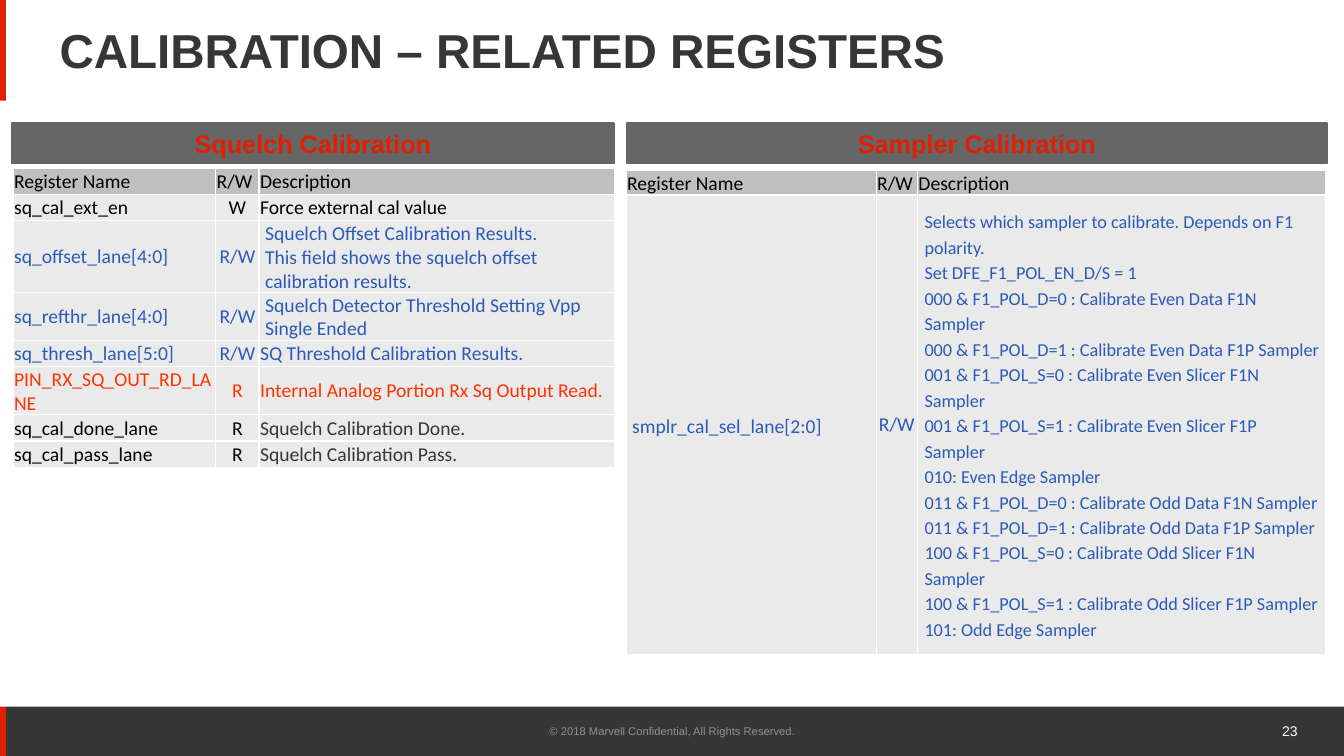
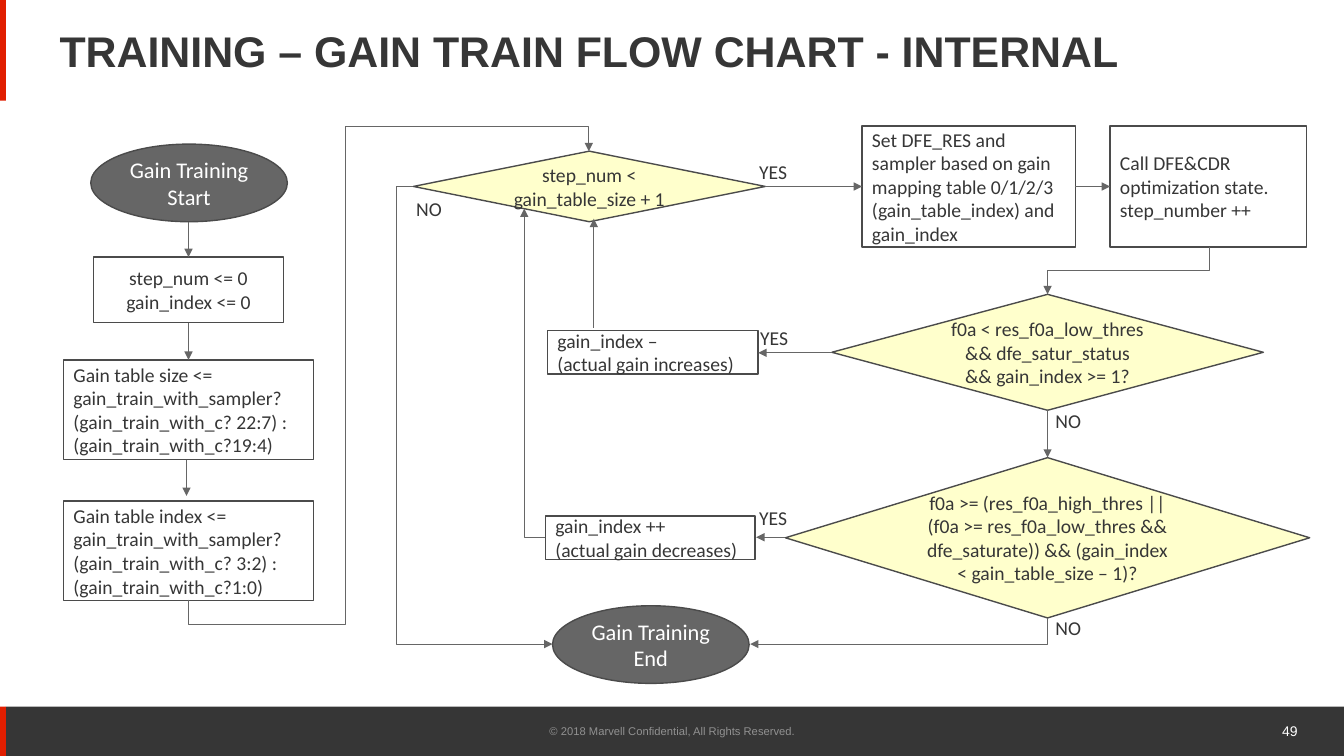
from lxml.etree import SubElement
from pptx import Presentation
from pptx.dml.color import RGBColor
from pptx.enum.shapes import MSO_CONNECTOR as Connector, MSO_SHAPE as Shape
from pptx.enum.text import MSO_ANCHOR as Anchor, MSO_AUTO_SIZE as AutoSize, PP_ALIGN as Align
from pptx.oxml.ns import qn
from pptx.util import Inches, Pt

COLORS = {
    "dark": "363636", "red": "E11E00", "gray": "666666", "outline": "4B4B4B",
    "muted": "919191", "white": "FFFFFF", "black": "000000", "header": "BFBFBF",
    "row": "EAEAEA", "blue": "2B5AB8", "alert": "FF3300", "yellow": "FFFFCC",
}
COPYRIGHT = "© 2018 Marvell Confidential, All Rights Reserved."
HEADINGS = ("Register Name", "R/W", "Description")

SQUELCH_ROWS = [
    ("sq_cal_ext_en", "W", ["Force external cal value"], "black", "black", 0),
    ("sq_offset_lane[4:0]", "R/W",
     ["Squelch Offset Calibration Results.",
      "This field shows the squelch offset calibration results."], "blue", "blue", 0.05),
    ("sq_refthr_lane[4:0]", "R/W",
     ["Squelch Detector Threshold Setting Vpp Single Ended"], "blue", "blue", 0.05),
    ("sq_thresh_lane[5:0]", "R/W", ["SQ Threshold Calibration Results."], "blue", "blue", 0),
    ("PIN_RX_SQ_OUT_RD_LANE", "R",
     ["Internal Analog Portion Rx Sq Output Read."], "alert", "alert", 0),
    ("sq_cal_done_lane", "R", ["Squelch Calibration Done."], "black", "dark", 0),
    ("sq_cal_pass_lane", "R", ["Squelch Calibration Pass."], "black", "dark", 0),
]
SAMPLER_LINES = [
    "Selects which sampler to calibrate. Depends on F1 polarity.",
    "Set DFE_F1_POL_EN_D/S = 1",
    "000 & F1_POL_D=0 : Calibrate Even Data F1N Sampler",
    "000 & F1_POL_D=1 : Calibrate Even Data F1P Sampler",
    "001 & F1_POL_S=0 : Calibrate Even Slicer F1N Sampler",
    "001 & F1_POL_S=1 : Calibrate Even Slicer F1P Sampler",
    "010: Even Edge Sampler",
    "011 & F1_POL_D=0 : Calibrate Odd Data F1N Sampler",
    "011 & F1_POL_D=1 : Calibrate Odd Data F1P Sampler",
    "100 & F1_POL_S=0 : Calibrate Odd Slicer F1N Sampler",
    "100 & F1_POL_S=1 : Calibrate Odd Slicer F1P Sampler",
    "101: Odd Edge Sampler",
]

RECT, OVAL, DIAMOND = Shape.RECTANGLE, Shape.OVAL, Shape.FLOWCHART_DECISION
NODES = [
    (OVAL, (0.9, 1.43, 1.95, 0.77), ["Gain Training Start"], Align.CENTER),
    (RECT, (0.93, 2.55, 1.88, 0.65), ["step_num <= 0", "gain_index <= 0"], Align.CENTER),
    (RECT, (0.63, 3.57, 2.48, 0.99),
     ["Gain table size <=",
      "gain_train_with_sampler? (gain_train_with_c? 22:7) : (gain_train_with_c?19:4)"], Align.LEFT),
    (RECT, (0.63, 4.97, 2.48, 0.99),
     ["Gain table index <=",
      "gain_train_with_sampler? (gain_train_with_c? 3:2) : (gain_train_with_c?1:0)"], Align.LEFT),
    (DIAMOND, (4.1, 1.5, 3.49, 0.7), ["step_num < gain_table_size + 1"], Align.CENTER),
    (RECT, (8.55, 1.25, 2.12, 1.2),
     ["Set DFE_RES and sampler based on gain mapping table 0/1/2/3 "
      "(gain_table_index) and gain_index"], Align.LEFT),
    (RECT, (11.01, 1.25, 1.95, 1.2),
     ["Call DFE&CDR optimization state.", "step_number ++"], Align.LEFT),
    (RECT, (5.43, 3.28, 2.09, 0.43), ["gain_index –", "(actual gain increases)"], Align.LEFT),
    (OVAL, (5.48, 6.01, 1.95, 0.77), ["Gain Training End"], Align.CENTER),
    (RECT, (5.41, 5.12, 2.08, 0.43), ["gain_index ++", "(actual gain decreases)"], Align.LEFT),
    (DIAMOND, (8.25, 2.92, 4.28, 1.15),
     ["f0a < res_f0a_low_thres && dfe_satur_status && gain_index >= 1?"], Align.CENTER),
    (DIAMOND, (7.79, 4.54, 5.2, 1.59),
     ["f0a >= (res_f0a_high_thres || (f0a >= res_f0a_low_thres && dfe_saturate)) "
      "&& (gain_index < gain_table_size – 1)?"], Align.CENTER),
]
STRAIGHT_ARROWS = [
    ((1.87, 2.2), (1.87, 2.55)), ((1.87, 3.2), (1.87, 3.57)), ((1.85, 4.56), (1.85, 4.92)),
    ((7.59, 1.85), (8.55, 1.85)), ((10.66, 1.85), (11.01, 1.85)),
    ((10.39, 4.07), (10.39, 4.54)), ((8.25, 3.5), (7.52, 3.5)),
    ((7.79, 5.33), (7.5, 5.33)), ((5.89, 3.25), (5.89, 2.17)),
]
ELBOW_ARROWS = [
    ((1.87, 5.95), (5.84, 1.5), True, "bentConnector5", (-5600, 39100, 105600)),
    ((11.99, 2.45), (10.39, 2.92), True, "bentConnector3", (50000,)),
    ((10.39, 6.13), (7.44, 6.39), True, "bentConnector2", ()),
    ((5.41, 5.33), (5.2, 2.07), False, "bentConnector2", ()),
    ((4.1, 1.85), (5.48, 6.39), False, "bentConnector3", (-12500,)),
]
LABELS = [
    ("YES", 7.43, 1.54), ("NO", 4.03, 1.9), ("YES", 7.44, 3.18),
    ("NO", 10.37, 4.01), ("YES", 7.43, 4.97), ("NO", 10.37, 6.06),
]


def color(name):
    return RGBColor.from_string(COLORS[name])


def inches(values):
    return [Inches(value) for value in values]


def write(frame, lines, size, tint, font="Calibri", bold=False, align=Align.LEFT,
          indent=0, spacing=None):
    frame.text = "\n".join(lines)
    for paragraph in frame.paragraphs:
        paragraph.alignment = align
        if spacing:
            paragraph.line_spacing = spacing
        if indent:
            properties = paragraph._p.get_or_add_pPr()
            properties.set("marL", str(Inches(indent)))
            properties.set("indent", "0")
        paragraph.font.name = font
        paragraph.font.size = Pt(size)
        paragraph.font.bold = bold
        paragraph.font.color.rgb = color(tint)


def add_box(slide, kind, box, fill=None, line=None):
    shape = slide.shapes.add_shape(kind, *inches(box))
    shape.shadow.inherit = False
    if fill:
        shape.fill.solid()
        shape.fill.fore_color.rgb = color(fill)
    else:
        shape.fill.background()
    if line:
        shape.line.color.rgb = color(line)
        shape.line.width = Pt(1)
    else:
        shape.line.fill.background()
    shape.text_frame.word_wrap = True
    shape.text_frame.vertical_anchor = Anchor.MIDDLE
    return shape


def add_text(slide, box, text, size, tint, align=Align.LEFT, font="Calibri", wrap=True):
    frame = slide.shapes.add_textbox(*inches(box)).text_frame
    frame.word_wrap = wrap
    frame.vertical_anchor = Anchor.MIDDLE if wrap else Anchor.TOP
    write(frame, [text], size, tint, font, align=align)


def add_bands(slide):
    for box, fill in (((0.06, 7.01, 13.27, 0.49), "dark"),
                      ((0, 7.01, 0.06, 0.49), "red"), ((0, 0, 0.06, 1), "red")):
        add_box(slide, RECT, box, fill)


def add_titled_slide(presentation, title, size, number):
    slide = presentation.slides.add_slide(presentation.slide_layouts[5])
    add_bands(slide)
    placeholder = slide.shapes.title
    placeholder.left, placeholder.top, placeholder.width, placeholder.height = inches(
        (0.49, 0.17, 11.5, 0.72))
    frame = placeholder.text_frame
    frame.auto_size = AutoSize.NONE
    frame.vertical_anchor = Anchor.MIDDLE
    write(frame, [title], size, "dark", "Arial", bold=True, spacing=0.9)
    add_text(slide, (4.42, 7.05, 4.5, 0.4), COPYRIGHT, 8, "muted", Align.CENTER, "Arial")
    add_text(slide, (10.21, 7.05, 2.76, 0.4), str(number), 10, "white", Align.RIGHT, "Arial")
    return slide


def fill_cell(cell, lines, fill, tint, insets=(0.01, 0.01, 0.01, 0), size=14, **style):
    properties = cell._tc.get_or_add_tcPr()
    for side in ("a:lnL", "a:lnR", "a:lnT", "a:lnB"):
        border = SubElement(properties, qn(side), w=str(Pt(1)))
        solid = SubElement(border, qn("a:solidFill"))
        SubElement(solid, qn("a:srgbClr"), val=COLORS["white"])
    cell.fill.solid()
    cell.fill.fore_color.rgb = color(fill)
    cell.margin_left, cell.margin_top, cell.margin_right, cell.margin_bottom = inches(insets)
    cell.vertical_anchor = Anchor.MIDDLE
    write(cell.text_frame, lines, size, tint, **style)


def add_register_table(slide, left, top, widths, heights):
    table = slide.shapes.add_table(len(heights), len(widths), *inches(
        (left, top, sum(widths), sum(heights)))).table
    table.first_row = table.horz_banding = False
    for column, width in zip(table.columns, widths):
        column.width = Inches(width)
    for row, height in zip(table.rows, heights):
        row.height = Inches(height)
    for index, heading in enumerate(HEADINGS):
        fill_cell(table.cell(0, index), [heading], "header", "black")
    return table


def add_heading_bar(slide, box, text):
    bar = add_box(slide, RECT, box, "gray", "gray")
    write(bar.text_frame, [text], 18, "red", "Arial", bold=True, align=Align.CENTER)


def add_squelch_panel(slide, left, top):
    add_heading_bar(slide, (left, top, 5.97, 0.4), "Squelch Calibration")
    table = add_register_table(slide, left + 0.01, top + 0.45, (2.01, 0.43, 3.53),
                               [0.26] * (len(SQUELCH_ROWS) + 1))
    for index, (name, access, lines, tint, line_tint, indent) in enumerate(SQUELCH_ROWS, 1):
        fill_cell(table.cell(index, 0), [name], "row", tint)
        fill_cell(table.cell(index, 1), [access], "row", tint, align=Align.CENTER)
        fill_cell(table.cell(index, 2), lines, "row", line_tint, indent=indent)


def add_sampler_panel(slide, left, top):
    add_heading_bar(slide, (left, top, 6.94, 0.4), "Sampler Calibration")
    table = add_register_table(slide, left - 0.01, top + 0.47, (2.48, 0.41, 4.05), (0.22, 4.56))
    fill_cell(table.cell(1, 0), ["smplr_cal_sel_lane[2:0]"], "row", "blue",
              indent=0.05, spacing=1.15)
    fill_cell(table.cell(1, 1), ["R/W"], "row", "blue", align=Align.CENTER)
    fill_cell(table.cell(1, 2), SAMPLER_LINES, "row", "blue", (0.07, 0, 0.07, 0), 13,
              spacing=1.15)


def add_node(slide, kind, box, lines, align):
    fill = {OVAL: "gray", DIAMOND: "yellow"}.get(kind)
    size, tint = (16, "white") if kind == OVAL else (14, "dark")
    shape = add_box(slide, kind, box, fill, "outline")
    write(shape.text_frame, lines, size, tint, align=align)


def add_arrow(slide, start, end, kind=Connector.STRAIGHT):
    connector = slide.shapes.add_connector(kind, *inches((*start, *end)))
    connector.line.color.rgb = color("gray")
    connector.line.width = Pt(0.5)
    properties = connector.element.spPr
    SubElement(properties.find(qn("a:ln")), qn("a:tailEnd"), type="triangle")
    SubElement(properties, qn("a:effectLst"))
    return properties


def add_elbow(slide, start, end, vertical_first, preset, adjustments):
    if vertical_first:
        middle_x, middle_y = (start[0] + end[0]) / 2, (start[1] + end[1]) / 2
        start, end = [(middle_x + y - middle_y, middle_y - x + middle_x) for x, y in (start, end)]
    properties = add_arrow(slide, start, end, Connector.ELBOW)
    if vertical_first:
        properties.find(qn("a:xfrm")).set("rot", "5400000")
    geometry = properties.find(qn("a:prstGeom"))
    geometry.set("prst", preset)
    guides = geometry.find(qn("a:avLst"))
    for index, value in enumerate(adjustments, 1):
        SubElement(guides, qn("a:gd"), name=f"adj{index}", fmla=f"val {value}")


def add_flow_chart(slide):
    for node in NODES:
        add_node(slide, *node)
    for start, end in STRAIGHT_ARROWS:
        add_arrow(slide, start, end)
    for elbow in ELBOW_ARROWS:
        add_elbow(slide, *elbow)
    for text, left, top in LABELS:
        add_text(slide, (left, top, 0.48, 0.34), text, 14, "dark", wrap=False)


def main():
    presentation = Presentation()
    presentation.slide_width, presentation.slide_height = inches((13.33, 7.5))
    registers = add_titled_slide(presentation, "CALIBRATION – RELATED REGISTERS", 34, 23)
    add_squelch_panel(registers, 0.12, 1.22)
    add_sampler_panel(registers, 6.22, 1.22)
    training = add_titled_slide(
        presentation, "TRAINING – GAIN TRAIN FLOW CHART - INTERNAL", 30.6, 49)
    add_flow_chart(training)
    presentation.save("out.pptx")


if __name__ == "__main__":
    main()
